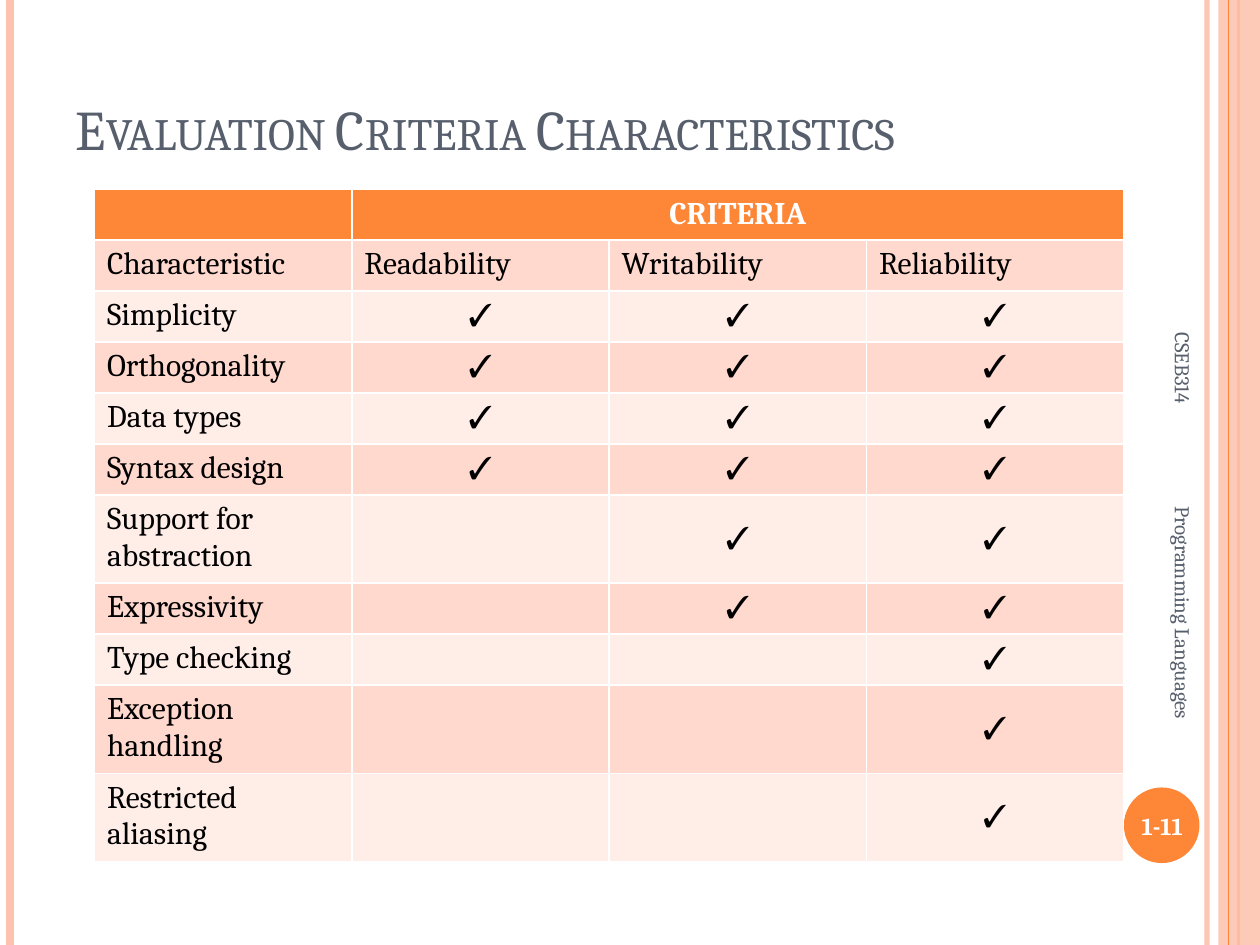
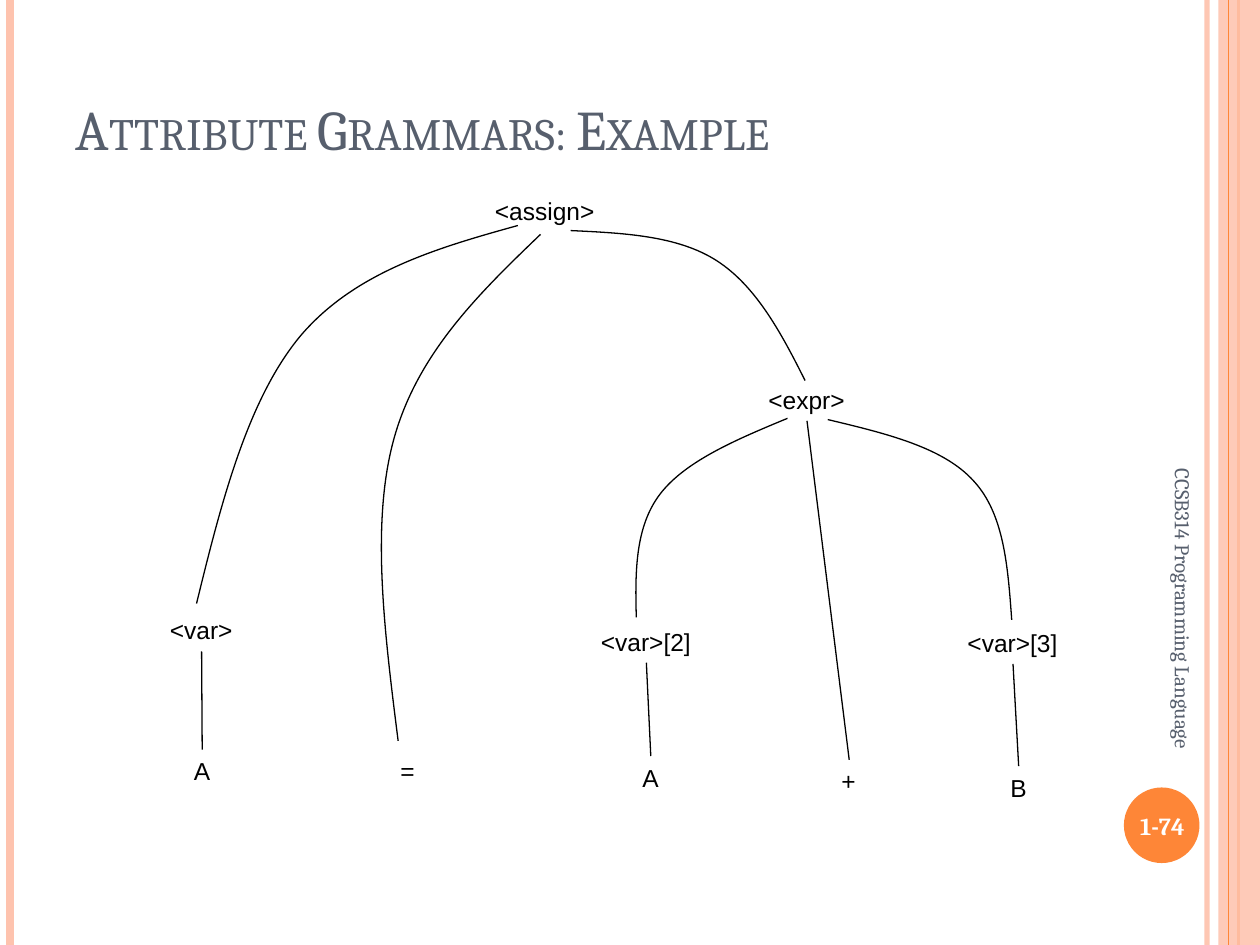
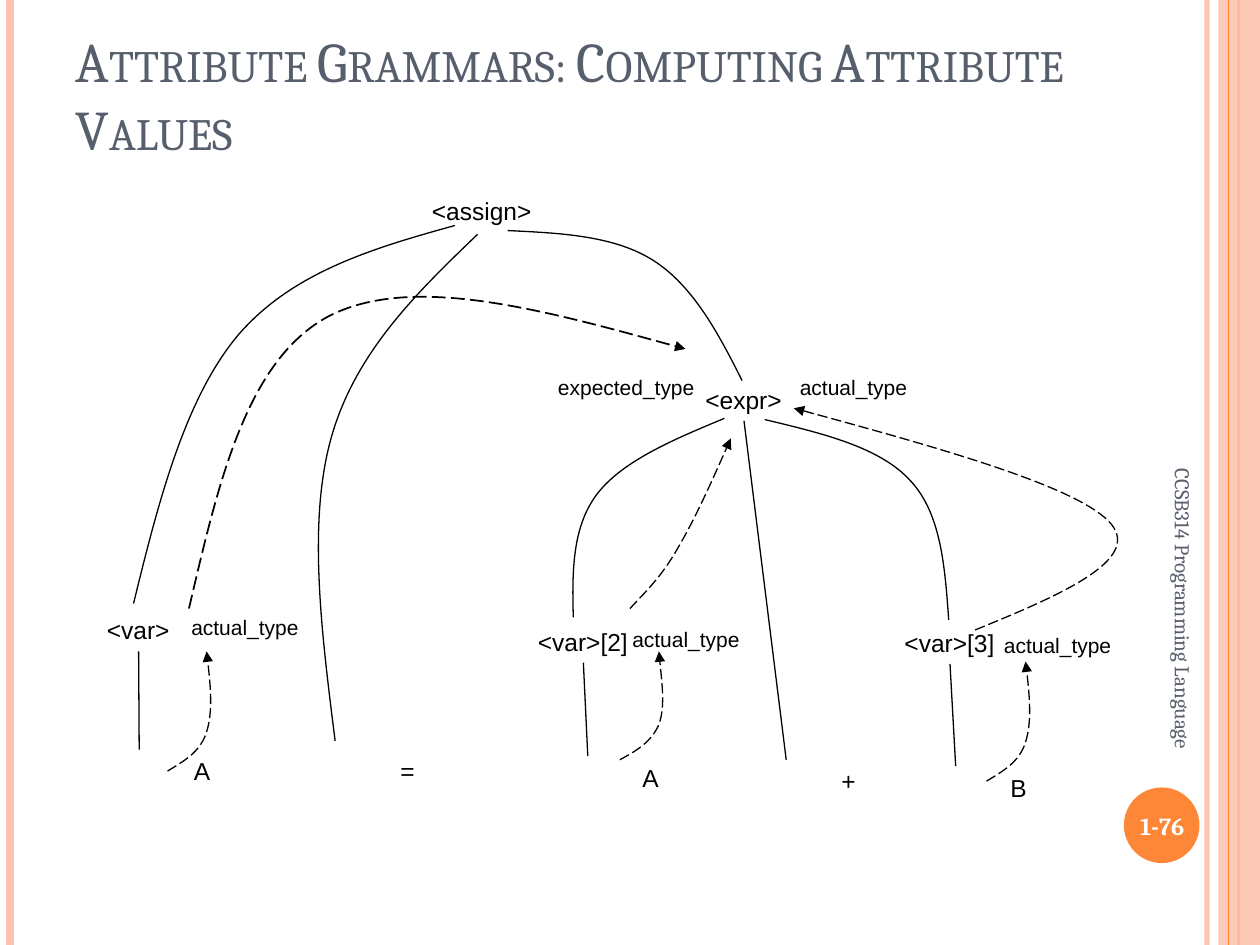
from dataclasses import dataclass

from lxml import etree
from pptx import Presentation
from pptx.dml.color import RGBColor
from pptx.enum.dml import MSO_LINE
from pptx.enum.shapes import MSO_CONNECTOR, MSO_SHAPE
from pptx.enum.text import MSO_ANCHOR, MSO_AUTO_SIZE, PP_ALIGN
from pptx.oxml.ns import qn
from pptx.util import Inches, Pt

STRAIGHT = MSO_CONNECTOR.STRAIGHT
RECTANGLE, OVAL = MSO_SHAPE.RECTANGLE, MSO_SHAPE.OVAL
LONG_DASH = MSO_LINE.LONG_DASH
LEFT, CENTER, RIGHT = PP_ALIGN.LEFT, PP_ALIGN.CENTER, PP_ALIGN.RIGHT
MIDDLE, BOTTOM = MSO_ANCHOR.MIDDLE, MSO_ANCHOR.BOTTOM
FIT_SHAPE = MSO_AUTO_SIZE.SHAPE_TO_FIT_TEXT
TOP_SIDE, BOTTOM_SIDE = 0, 2
TITLE_ONLY = 5

# The slide is a grid of 10 columns and 7.5 rows, one inch each.
COLUMNS, ROWS = 10, 7.5


@dataclass(frozen=True)
class Theme:
    orange: str = "FE8637"
    peach: str = "FEC3AE"
    slate: str = "575F6D"
    white: str = "FFFFFF"
    black: str = "000000"
    bands: tuple = ("FFD9CE", "FFEDE8")
    serif: str = "Cambria"
    sans: str = "Arial"
    title_size: int = 32
    table_size: int = 18
    label_size: int = 14
    small_size: int = 12
    hairline: float = 0.75


THEME = Theme()

CRITERIA = ("Readability", "Writability", "Reliability")
# Each characteristic with the first criterion it supports; it supports all later ones too.
CHARACTERISTICS = (
    ("Simplicity", 0), ("Orthogonality", 0), ("Data types", 0), ("Syntax design", 0),
    ("Support for abstraction", 1), ("Expressivity", 1), ("Type checking", 2),
    ("Exception handling", 2), ("Restricted aliasing", 2),
)
TWO_LINE_ROWS = (6, 9, 10)

# Name: text, left, top, width
NODES = {
    "assign": ("<assign>", 3.83, 1.5, 1),
    "expr": ("<expr>", 6, 3, 0.81),
    "target": ("<var>", 1.25, 4.83, 0.7),
    "first": ("<var>[2]", 4.67, 4.92, 0.92),
    "second": ("<var>[3]", 7.58, 4.93, 0.92),
}
LEAVES = {
    "target": ("A", 1.44, 5.95, 0.33),
    "equals": ("=", 3.08, 5.95, 0.32),
    "first": ("A", 5, 6, 0.33),
    "expr": ("+", 6.58, 6.03, 0.32),
    "second": ("B", 7.92, 6.08, 0.33),
}
# Start point, then three points for each Bézier segment
BRANCHES = (
    ((4.11, 1.79), (3.46, 1.97), (2.82, 2.16), (2.39, 2.66), (1.97, 3.16), (1.76, 3.97), (1.56, 4.79)),
    ((4.29, 1.86), (3.8, 2.33), (3.32, 2.8), (3.13, 3.47), (2.94, 4.14), (3.05, 5.01), (3.16, 5.88)),
    ((4.53, 1.83), (4.95, 1.85), (5.38, 1.87), (5.69, 2.07), (6, 2.27), (6.2, 2.64), (6.39, 3.02)),
    ((6.25, 3.32), (5.84, 3.49), (5.44, 3.66), (5.24, 3.92), (5.04, 4.18), (5.04, 4.54), (5.05, 4.9)),
    ((6.57, 3.33), (7.03, 3.44), (7.49, 3.55), (7.73, 3.82), (7.97, 4.08), (8, 4.5), (8.03, 4.92)),
)
INHERITED_FLOW = ((1.5, 4.83), (1.73, 3.85), (1.95, 2.86), (2.61, 2.51), (3.27, 2.17), (4.35, 2.47), (5.44, 2.77))
SYNTHESIZED_FLOWS = (
    ((5, 4.83), (5.12, 4.7), (5.25, 4.58), (5.38, 4.35), (5.51, 4.13), (5.66, 3.8), (5.8, 3.48)),
    ((7.74, 5), (8.4, 4.73), (9.06, 4.45), (8.82, 4.16), (8.58, 3.87), (7.44, 3.55), (6.3, 3.24)),
    ((4.92, 6.03), (5.05, 5.96), (5.17, 5.89), (5.23, 5.75), (5.28, 5.61), (5.25, 5.39), (5.23, 5.17)),
)
LOOKUP_FLOW = ((0, 0.95), (0.13, 0.87), (0.26, 0.8), (0.31, 0.64), (0.36, 0.48), (0.34, 0.24), (0.31, 0))
LOOKUP_STARTS = ((1.33, 5.17), (7.83, 5.25))
ATTRIBUTES = (
    ("actual_type", 1.42, 4.83, 1.06), ("actual_type", 4.92, 4.92, 1.06),
    ("actual_type", 7.87, 4.97, 1.06), ("actual_type", 6.25, 2.92, 1.06),
    ("expected_type", 4.33, 2.92, 1.29),
)


def grid(*lengths):
    return [Inches(length) for length in lengths]


def shifted(points, right=0, down=0):
    return [(x + right, y + down) for x, y in points]


def color(value):
    return RGBColor.from_string(value)


def set_opacity(shape, percent):
    for fill_color in shape.element.spPr.iter(qn("a:srgbClr")):
        etree.SubElement(fill_color, qn("a:alpha")).set("val", str(percent * 1000))


def format_paragraph(paragraph, size, font_color, name=THEME.serif, bold=False, align=LEFT):
    paragraph.alignment = align
    font = paragraph.font
    font.size, font.name, font.bold = Pt(size), name, bold
    font.color.rgb = color(font_color)


def add_text(shapes, text, place, size, font_color, **style):
    box = shapes.add_textbox(*grid(*place))
    box.text_frame.word_wrap = True
    box.text_frame.vertical_anchor = MIDDLE
    box.text_frame.text = text
    format_paragraph(box.text_frame.paragraphs[0], size, font_color, **style)
    return box


def add_label(shapes, label, size=THEME.label_size, height=0.34, shift=0):
    text, left, top, width = label
    box = add_text(shapes, text, (left + shift, top, width, height), size, THEME.black, name=THEME.sans)
    box.text_frame.word_wrap = False
    box.text_frame.auto_size = FIT_SHAPE
    return box


def add_line(shapes, start, end, line_color=THEME.black, width=THEME.hairline):
    line = shapes.add_connector(STRAIGHT, *grid(*start, *end))
    line.line.color.rgb = color(line_color)
    line.line.width = Pt(width)
    etree.SubElement(line.element.spPr, qn("a:effectLst"))
    return line


def add_filled(shapes, kind, place, fill):
    shape = shapes.add_shape(kind, *grid(*place))
    shape.fill.solid()
    shape.fill.fore_color.rgb = color(fill)
    shape.line.fill.background()
    shape.shadow.inherit = False
    return shape


def add_curve(shapes, points, width=THEME.hairline):
    """Draw an open outline and turn each three straight segments into one Bézier segment."""
    start, *others = [grid(*point) for point in points]
    builder = shapes.build_freeform(*start)
    builder.add_line_segments(others, close=False)
    curve = builder.convert_to_shape()
    curve.fill.background()
    curve.line.color.rgb = color(THEME.black)
    curve.line.width = Pt(width)
    curve.shadow.inherit = False
    outline = next(curve.element.iter(qn("a:path")))
    segments = outline.findall(qn("a:lnTo"))
    for first in range(0, len(segments), 3):
        bezier = etree.SubElement(outline, qn("a:cubicBezTo"))
        for segment in segments[first:first + 3]:
            bezier.append(segment[0])
            outline.remove(segment)
    return curve


def add_flow(shapes, points, width=THEME.hairline):
    flow = add_curve(shapes, points, width)
    flow.line.dash_style = LONG_DASH
    outline = flow.element.spPr.find(qn("a:ln"))
    etree.SubElement(outline, qn("a:tailEnd")).set("type", "triangle")


def decorate_layout(presentation, layout):
    """Build the bands and the number disc on a scratch slide and move them to the layout."""
    for placeholder in list(layout.placeholders):
        if placeholder.placeholder_format.idx:
            placeholder.element.getparent().remove(placeholder.element)
    title = layout.placeholders[0]
    title.left, title.top, title.width, title.height = grid(0.5, 0.08, 8.17, 1.25)

    slide = presentation.slides[0]
    shapes = slide.shapes

    def band(x, line_color, width):
        return add_line(shapes, (x, 0), (x, ROWS), line_color, width)

    inner = band(9.58, THEME.peach, 3)
    set_opacity(inner, 93)
    left = band(0.08, THEME.peach, 4.5)
    outer = band(9.83, THEME.orange, 1.5)
    edge = add_filled(shapes, RECTANGLE, (9.67, 0, 0.33, ROWS), THEME.peach)
    set_opacity(edge, 87)
    thin = band(9.75, THEME.orange, 0.75)
    disc = add_filled(shapes, OVAL, (8.92, 6.25, 0.6, 0.6), THEME.orange)
    for shape in (inner, left, outer, edge, thin, disc):
        layout.shapes.element.append(shape.element)


def fill_frame(slide, title, number, footer, footer_align=RIGHT):
    """Set the title, slide number and upright footer."""
    slide.shapes.title.text = title
    slide.shapes.title.text_frame.vertical_anchor = BOTTOM
    format_paragraph(slide.shapes.title.text_frame.paragraphs[0], THEME.title_size, THEME.slate)
    for properties in slide.shapes.title.element.iter(qn("a:defRPr")):
        properties.set("cap", "small")
    add_text(slide.shapes, number, (8.89, 6.27, 0.67, 0.57), THEME.label_size, THEME.white,
             bold=True, align=CENTER)
    box = add_text(slide.shapes, footer, (7.64, 4.09, 3.5, 0.4), THEME.small_size, THEME.slate,
                   align=footer_align)
    box.rotation = 90
    return box


def add_tab_stop(box, position):
    properties = next(box.element.iter(qn("a:pPr")))
    tabs = etree.Element(qn("a:tabLst"))
    etree.SubElement(tabs, qn("a:tab"), pos=str(Inches(position)), algn="l")
    properties.insert(0, tabs)


def add_criteria_table(slide):
    rows = [("", "CRITERIA", "", ""), ("Characteristic", *CRITERIA)]
    for name, first in CHARACTERISTICS:
        rows.append((name, *("✓" if index >= first else "" for index in range(len(CRITERIA)))))
    height, tall = 5.34, 0.7
    regular = (height - tall * len(TWO_LINE_ROWS)) / (len(rows) - len(TWO_LINE_ROWS))
    table = slide.shapes.add_table(len(rows), len(rows[0]), *grid(0.75, 1.5, 8.17, height)).table
    for row_index, texts in enumerate(rows):
        table.rows[row_index].height = Inches(tall if row_index in TWO_LINE_ROWS else regular)
        header = row_index == 0
        for column_index, text in enumerate(texts):
            cell = table.cell(row_index, column_index)
            cell.fill.solid()
            cell.fill.fore_color.rgb = color(THEME.orange if header else THEME.bands[(row_index + 1) % 2])
            cell.text = text
            centered = header or text == "✓"
            if centered:
                cell.vertical_anchor = MIDDLE
            format_paragraph(cell.text_frame.paragraphs[0], THEME.table_size,
                             THEME.white if header else THEME.black,
                             bold=header, align=CENTER if centered else LEFT)
    table.cell(0, 1).merge(table.cell(0, len(CRITERIA)))


def add_parse_tree(slide, shapes, shift=0):
    """Draw the leaves in place and the rest of the tree moved sideways by shift."""
    leaves = {name: add_label(slide.shapes, label) for name, label in LEAVES.items()}
    nodes = {name: add_label(shapes, label, shift=shift) for name, label in NODES.items()}
    for points in BRANCHES:
        add_curve(shapes, shifted(points, shift))
    for name in LEAVES.keys() & NODES.keys():
        _, left, top, width = LEAVES[name]
        end = (left + width / 2 + shift, top)
        stem = add_line(shapes, end, end)
        stem.begin_connect(nodes[name], BOTTOM_SIDE)
        if not shift:
            stem.end_connect(leaves[name], TOP_SIDE)


def add_attribute_flows(shapes):
    add_flow(shapes, INHERITED_FLOW, width=1)
    for points in SYNTHESIZED_FLOWS:
        add_flow(shapes, points)
    for start in LOOKUP_STARTS:
        add_flow(shapes, shifted(LOOKUP_FLOW, *start))
    for label in ATTRIBUTES:
        add_label(shapes, label, THEME.small_size, height=0.3)


def main():
    presentation = Presentation()
    presentation.slide_width, presentation.slide_height = grid(COLUMNS, ROWS)
    layout = presentation.slide_layouts[TITLE_ONLY]
    criteria, example, values = [presentation.slides.add_slide(layout) for _ in range(3)]
    decorate_layout(presentation, layout)

    add_criteria_table(criteria)
    footer = fill_frame(criteria, "Evaluation Criteria Characteristics", "1-11",
                        "CSEB314\tProgramming Languages", LEFT)
    add_tab_stop(footer, 1.38)

    course = "CCSB314 Programming Language"
    fill_frame(example, "Attribute Grammars: Example", "1-74", course)
    add_parse_tree(example, example.shapes)

    fill_frame(values, "Attribute Grammars: Computing Attribute Values", "1-76", course)
    group = values.shapes.add_group_shape()
    add_parse_tree(values, group.shapes, shift=-0.5)
    add_attribute_flows(group.shapes)

    presentation.save("out.pptx")


if __name__ == "__main__":
    main()
